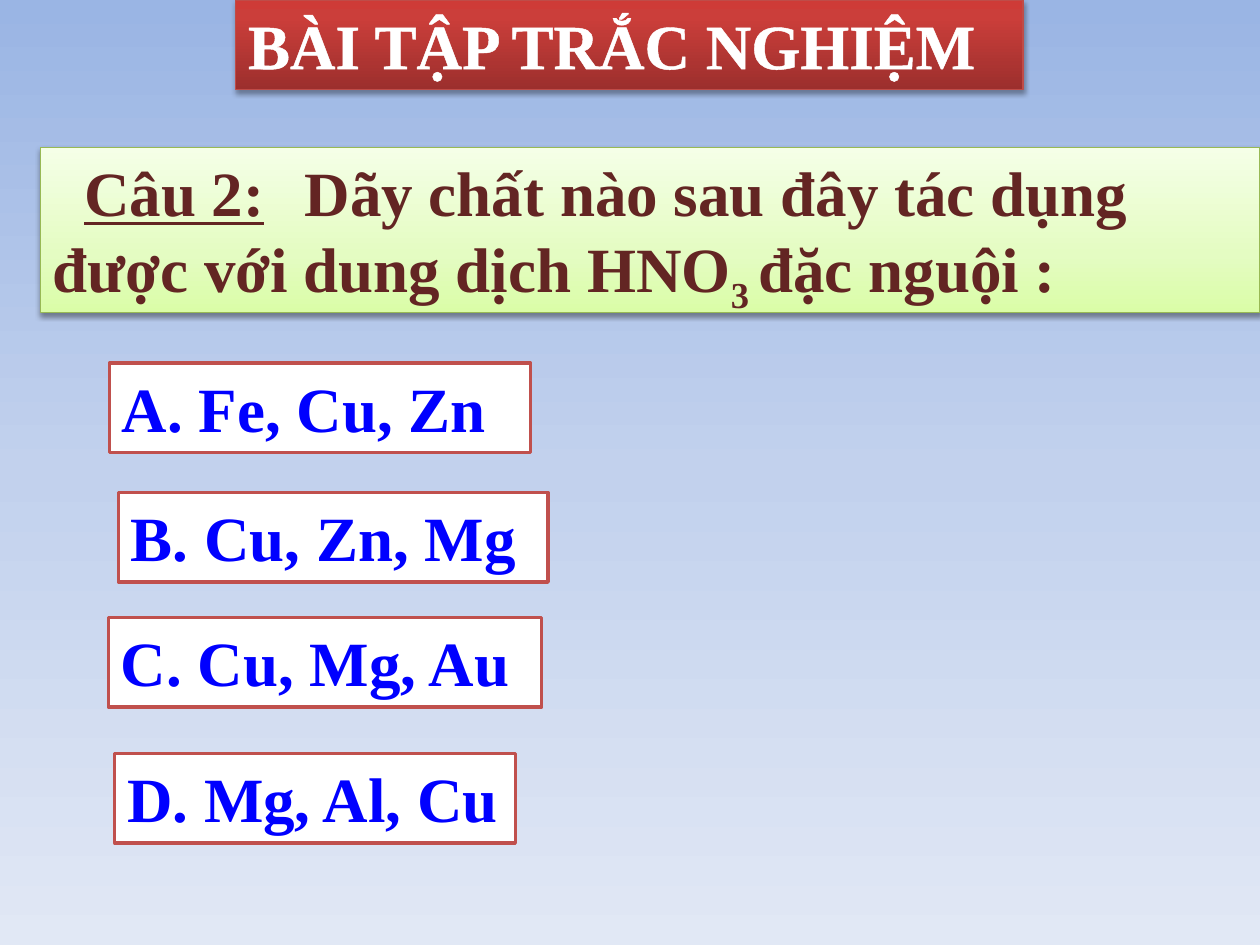
from lxml.etree import SubElement
from pptx import Presentation
from pptx.dml.color import RGBColor
from pptx.enum.shapes import MSO_SHAPE
from pptx.enum.text import MSO_ANCHOR, MSO_AUTO_SIZE, PP_ALIGN
from pptx.oxml.ns import qn
from pptx.util import Inches, Pt

FONT, SIZE, BOX_HEIGHT = "Times New Roman", 36, 0.71
WHITE, BROWN, BLUE, RED = "FFFFFF", "632523", "0000FF", "C0504D"

BACKGROUND = [(0, "9AB5E4"), (50, "C2D1ED"), (100, "E1E8F5")]
TITLE = {
    "runs": [("BÀI TẬP TRẮC NGHIỆM", {})],
    "place": (1.87, 0, 6.25, BOX_HEIGHT),
    "stops": [(0, "9C2F2D"), (80, "CB3E3A"), (100, "CE3B37")],
    "line": "BF4C48", "color": WHITE, "shadow": (35, 1.8),
}
QUESTION = {
    "runs": [
        ("Câu 2:", {"underline": True}),
        ("\tDãy chất nào sau đây tác dụng được với dung dịch HNO", {}),
        ("3 ", {"subscript": True}),
        ("đặc nguội :", {}),
    ],
    "place": (0.32, 1.17, 9.68, 1.31),
    "stops": [(0, "DAFDA7"), (35, "E4FCC2"), (100, "F5FFE7")],
    "line": "98B955", "color": BROWN, "shadow": (38, 1.6),
}
ANSWERS = [
    ("A. Fe, Cu, Zn", 0.87, 2.88, 3.34, True),
    ("B. Cu, Zn, Mg", 0.94, 3.91, 3.41, False),
    ("C. Cu, Mg, Au", 0.86, 4.9, 3.44, False),
    ("D. Mg, Al, Cu", 0.91, 5.98, 3.18, False),
]
QUESTION_INDENT, QUESTION_TAB = 0.25, 2.06


def rgb(color):
    """Turn a hex string into a colour."""
    return RGBColor.from_string(color)


def add_color(parent, color, alpha=100):
    """Add a colour element with its opacity in percent."""
    element = SubElement(parent, qn("a:srgbClr"), val=color)
    if alpha < 100:
        SubElement(element, qn("a:alpha"), val=str(alpha * 1000))


def set_gradient(fill, holder, stops, angle):
    """Fill with a linear gradient whose stops are in percent."""
    fill.gradient()
    fill.gradient_angle = angle
    stop_list = next(holder.iter(qn("a:gsLst")))
    for stop in list(stop_list):
        stop_list.remove(stop)
    for position, color in stops:
        add_color(SubElement(stop_list, qn("a:gs"), pos=str(position * 1000)), color)


def add_box(slide, place, runs, color, line, line_width, wrap=True):
    """Add a rectangle holding one paragraph of bold runs."""
    shape = slide.shapes.add_shape(MSO_SHAPE.RECTANGLE, *map(Inches, place))
    shape.shadow.inherit = False
    shape.line.color.rgb = rgb(line)
    shape.line.width = Pt(line_width)
    frame = shape.text_frame
    frame.word_wrap = wrap
    frame.auto_size = MSO_AUTO_SIZE.SHAPE_TO_FIT_TEXT
    frame.vertical_anchor = MSO_ANCHOR.TOP
    paragraph = frame.paragraphs[0]
    paragraph.alignment = PP_ALIGN.LEFT
    for text, style in runs:
        run = paragraph.add_run()
        run.text = text
        font = run.font
        font.name, font.size, font.bold = FONT, Pt(SIZE), True
        font.color.rgb = rgb(color)
        font.underline = style.get("underline")
        if style.get("subscript"):
            run._r.get_or_add_rPr().set("baseline", "-25000")
    return shape


def add_banner(slide, banner):
    """Add a gradient box with a soft shadow below it."""
    shape = add_box(slide, banner["place"], banner["runs"], banner["color"], banner["line"], 0.75)
    properties = shape._element.spPr
    set_gradient(shape.fill, properties, banner["stops"], 90)
    alpha, distance = banner["shadow"]
    shadow = SubElement(
        properties.find(qn("a:effectLst")), qn("a:outerShdw"), blurRad=str(Pt(3.1)),
        dist=str(Pt(distance)), dir="5400000", rotWithShape="0")
    add_color(shadow, "000000", alpha)
    return shape.text_frame.paragraphs[0]


def outline_text(run, color, width):
    """Draw a coloured outline round the letters of a run."""
    properties = run._r.get_or_add_rPr()
    outline = SubElement(properties, qn("a:ln"), w=str(Pt(width)))
    add_color(SubElement(outline, qn("a:solidFill")), color)
    properties.insert(0, outline)


def indent_question(paragraph):
    """Indent the first line and set the stop after the question number."""
    properties = paragraph._p.get_or_add_pPr()
    properties.set("marL", "0")
    properties.set("indent", str(Inches(QUESTION_INDENT)))
    tabs = SubElement(properties, qn("a:tabLst"))
    SubElement(tabs, qn("a:tab"), pos=str(Inches(QUESTION_TAB)), algn="l")


def main():
    """Build the quiz slide and save it."""
    presentation = Presentation()
    presentation.slide_width, presentation.slide_height = Inches(10), Inches(7.5)
    slide = presentation.slides.add_slide(presentation.slide_layouts[6])
    set_gradient(slide.background.fill, slide._element, BACKGROUND, 270)
    outline_text(add_banner(slide, TITLE).runs[0], WHITE, 1.45)
    indent_question(add_banner(slide, QUESTION))
    for text, left, top, width, wrap in ANSWERS:
        place = (left, top, width, BOX_HEIGHT)
        answer = add_box(slide, place, [(text, {})], BLUE, RED, 2, wrap)
        answer.fill.solid()
        answer.fill.fore_color.rgb = rgb(WHITE)
    presentation.save("out.pptx")


if __name__ == "__main__":
    main()
